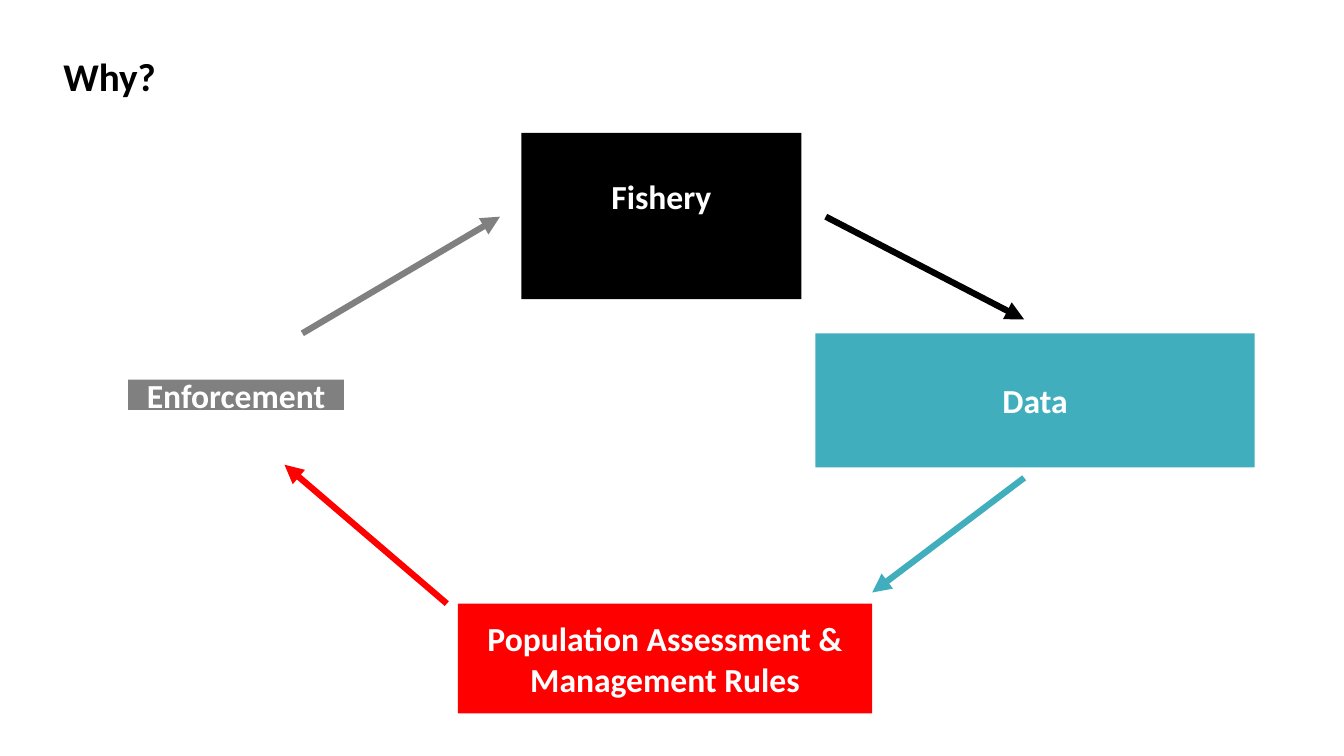
from dataclasses import dataclass

from lxml import etree
from pptx import Presentation
from pptx.dml.color import RGBColor
from pptx.enum.shapes import MSO_CONNECTOR, MSO_SHAPE
from pptx.enum.text import MSO_ANCHOR, PP_ALIGN
from pptx.oxml.ns import qn
from pptx.util import Cm, Pt

RECT = MSO_SHAPE.RECTANGLE
STRAIGHT = MSO_CONNECTOR.STRAIGHT
MIDDLE = MSO_ANCHOR.MIDDLE
CENTER = PP_ALIGN.CENTER
LEFT = PP_ALIGN.LEFT


@dataclass(frozen=True)
class Theme:
    """Colours, font and sizes of the slide."""
    black: RGBColor = RGBColor(0, 0, 0)
    white: RGBColor = RGBColor(255, 255, 255)
    teal: RGBColor = RGBColor(0x41, 0xAE, 0xBD)
    red: RGBColor = RGBColor(255, 0, 0)
    grey: RGBColor = RGBColor(128, 128, 128)
    font: str = "Calibri"
    title_size: Pt = Pt(28)
    label_size: Pt = Pt(24)
    arrow_width: Pt = Pt(4.5)


THEME = Theme()

# label, colour, box (left, top, width, height), arrow start, arrow end, extra bottom inset
STAGES = [
    ("Fishery", THEME.black, (9.91, 0, 7.06, 4.19), (17.58, 2.11), (22.58, 4.7), 1.02),
    ("Data", THEME.teal, (17.32, 5.05, 11.07, 3.38), (22.58, 8.69), (18.75, 11.58), 0),
    ("Population Assessment & Management Rules", THEME.red,
     (8.31, 11.86, 10.44, 2.77), (8.03, 11.86), (3.94, 8.36), 0),
    ("Enforcement", THEME.grey, (0, 6.22, 5.44, 0.76), (4.39, 5.05), (9.37, 2.11), 0),
]


def set_text(tf, text, size, color, align):
    """Write one bold paragraph into a text frame."""
    tf.word_wrap = True
    tf.text = text
    p = tf.paragraphs[0]
    p.alignment = align
    font = p.runs[0].font
    font.name, font.size, font.bold = THEME.font, size, True
    font.color.rgb = color


def add_title(s, text, left, top, width, height):
    """Place the slide title in the given box."""
    sp = s.shapes.add_textbox(Cm(left), Cm(top), Cm(width), Cm(height))
    set_text(sp.text_frame, text, THEME.title_size, THEME.black, LEFT)


def add_stage(s, label, color, left, top, width, height, inset):
    """Draw one filled stage of the cycle."""
    sp = s.shapes.add_shape(RECT, Cm(left), Cm(top), Cm(width), Cm(height))
    sp.shadow.inherit = False
    sp.fill.solid()
    sp.fill.fore_color.rgb = color
    sp.line.fill.background()
    tf = sp.text_frame
    tf.vertical_anchor = MIDDLE
    tf.margin_bottom += Cm(inset)
    set_text(tf, label, THEME.label_size, THEME.white, CENTER)


def add_arrow(s, color, x1, y1, x2, y2):
    """Draw a straight arrow pointing at its second end."""
    cxn = s.shapes.add_connector(STRAIGHT, Cm(x1), Cm(y1), Cm(x2), Cm(y2))
    cxn.line.color.rgb = color
    cxn.line.width = THEME.arrow_width
    ln = cxn.line._get_or_add_ln()
    etree.SubElement(ln, qn("a:tailEnd"), type="triangle")
    etree.SubElement(cxn._element.spPr, qn("a:effectLst"))


def add_cycle(s, stages, left, top):
    """Draw the stages and their arrows from the given corner."""
    for label, color, (x, y, w, h), (x1, y1), (x2, y2), inset in stages:
        add_stage(s, label, color, left + x, top + y, w, h, inset)
        add_arrow(s, color, left + x1, top + y1, left + x2, top + y2)


def main():
    """Build the slide and save it."""
    prs = Presentation()
    prs.slide_width, prs.slide_height = Cm(33.87), Cm(19.05)
    s = prs.slides.add_slide(prs.slide_layouts[6])
    add_title(s, "Why?", 1.35, 1.19, 7.26, 1.45)
    add_cycle(s, STAGES, 3.23, 3.35)
    prs.save("out.pptx")


if __name__ == "__main__":
    main()
